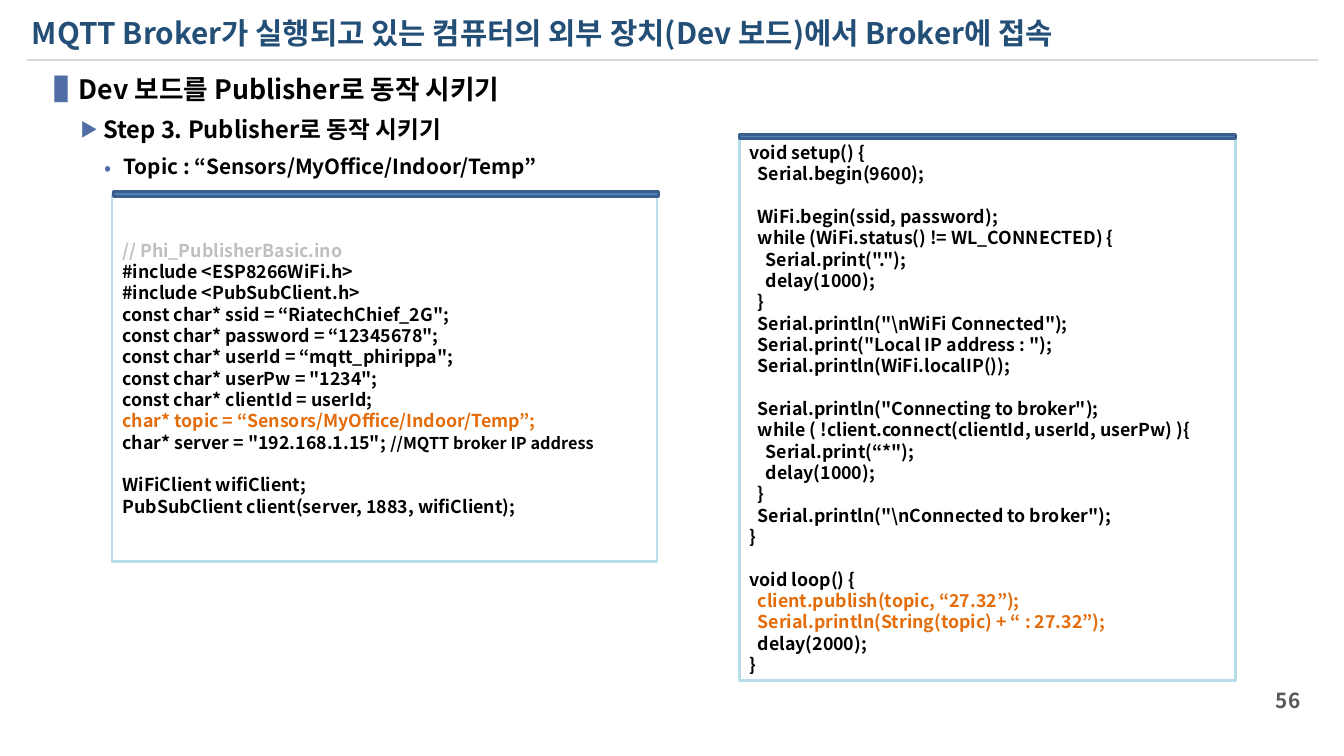
import pptx
import pptx.util
import pptx.dml.color
import pptx.enum.shapes
import pptx.enum.text
from lxml import etree
from pptx.dml.color import RGBColor
from pptx.oxml.ns import qn
from pptx.util import Inches, Pt

FONT = "Noto Sans CJK KR"
LINE_RATIO = 1.2  # line pitch relative to the text size

NAVY = RGBColor(0x23, 0x4F, 0x77)
BLACK = RGBColor(0, 0, 0)
WHITE = RGBColor(0xFF, 0xFF, 0xFF)
RULE_GRAY = RGBColor(0xD9, 0xD9, 0xD9)
NUMBER_GRAY = RGBColor(0x59, 0x59, 0x59)
COMMENT_GRAY = RGBColor(0xBF, 0xBF, 0xBF)
BULLET_BLUE = RGBColor(0x50, 0x6E, 0xA5)
ORANGE = RGBColor(0xE4, 0x6C, 0x0A)
PALE_BLUE = RGBColor(0xB7, 0xDE, 0xE8)
BAR_BLUE = RGBColor(0x4F, 0x81, 0xBD)
BAR_EDGE = RGBColor(0x3A, 0x5F, 0x8C)

# Content
TITLE = "MQTT Broker가 실행되고 있는 컴퓨터의 외부 장치(Dev 보드)에서 Broker에 접속"
PAGE_NUMBER = "56"

# text, size, bullet, bullet percent, left margin, hanging indent
OUTLINE = [
    ("Dev 보드를 Publisher로 동작 시키기", 18, "▐", 100, 0.35, 0.35),
    ("Step 3. Publisher로 동작 시키기", 16, "▶", 75, 0.58, 0.21),
    ("Topic : “Sensors/MyOffice/Indoor/Temp”", 14, "•", 100, 0.77, 0.18),
]

SETTINGS_CODE = """// Phi_PublisherBasic.ino
#include <ESP8266WiFi.h>
#include <PubSubClient.h>
const char* ssid = “RiatechChief_2G";
const char* password = “12345678";
const char* userId = “mqtt_phirippa";
const char* userPw = "1234";
const char* clientId = userId;
char* topic = “Sensors/MyOffice/Indoor/Temp”;
char* server = "192.168.1.15"; //MQTT broker IP address

WiFiClient wifiClient;
PubSubClient client(server, 1883, wifiClient);"""

SKETCH_CODE = r"""void setup() {
  Serial.begin(9600);

  WiFi.begin(ssid, password);
  while (WiFi.status() != WL_CONNECTED) {
    Serial.print(".");
    delay(1000);
  }
  Serial.println("\nWiFi Connected");
  Serial.print("Local IP address : ");
  Serial.println(WiFi.localIP());

  Serial.println("Connecting to broker");
  while ( !client.connect(clientId, userId, userPw) ){
    Serial.print(“*");
    delay(1000);
  }
  Serial.println("\nConnected to broker");
}

void loop() {
  client.publish(topic, “27.32”);
  Serial.println(String(topic) + “ : 27.32”);
  delay(2000);
}"""

# code, left, top, width, height, bar left, bar top
PANELS = [
    (SETTINGS_CODE, 1.05, 1.82, 5.11, 3.45, 1.06, 1.80),
    (SKETCH_CODE, 6.93, 1.28, 4.65, 5.10, 6.93, 1.26),
]
LINE_COLORS = [("// ", COMMENT_GRAY), ("char* topic", ORANGE),
               ("client.publish", ORANGE), ("Serial.println(String", ORANGE)]
TRAILING_COMMENT = "//MQTT"
CODE_SIZE, TRAILING_SIZE = 12, 11


def style_paragraph(paragraph, size, color, gap=0):
    paragraph.line_spacing = Pt(size * LINE_RATIO)
    paragraph.space_before = Pt(gap)
    for run in paragraph.runs:
        run.font.size = Pt(size)
        run.font.bold = True
        run.font.name = FONT
        run.font.color.rgb = color
        east_asian = etree.SubElement(run.font._element, qn("a:ea"))
        east_asian.set("typeface", FONT)


def add_bullet(paragraph, symbol, percent, margin, hanging):
    properties = paragraph._p.get_or_add_pPr()
    properties.set("marL", str(Inches(margin)))
    properties.set("indent", str(-Inches(hanging)))
    bullet_color = etree.SubElement(properties, qn("a:buClr"))
    etree.SubElement(bullet_color, qn("a:srgbClr")).set("val", str(BULLET_BLUE))
    etree.SubElement(properties, qn("a:buSzPct")).set("val", str(percent * 1000))
    etree.SubElement(properties, qn("a:buFont")).set("typeface", FONT)
    etree.SubElement(properties, qn("a:buChar")).set("char", symbol)


def add_text(left, top, width, height):
    frame = slide.shapes.add_textbox(
        Inches(left), Inches(top), Inches(width), Inches(height)).text_frame
    frame.word_wrap = True
    return frame


def add_box(left, top, width, height, fill, edge):
    box = slide.shapes.add_shape(
        pptx.enum.shapes.MSO_SHAPE.RECTANGLE,
        Inches(left), Inches(top), Inches(width), Inches(height))
    box.shadow.inherit = False
    box.fill.solid()
    box.fill.fore_color.rgb = fill
    box.line.color.rgb = edge
    box.line.width = Pt(2)
    return box


def write_code(frame, code):
    """One paragraph per code line; an empty line becomes space before the next."""
    frame.word_wrap = True
    frame.vertical_anchor = pptx.enum.text.MSO_ANCHOR.MIDDLE
    paragraph, gap = frame.paragraphs[0], 0
    for number, line in enumerate(code.split("\n")):
        if not line:
            gap = CODE_SIZE * LINE_RATIO
            continue
        if number:
            paragraph = frame.add_paragraph()
        statement, mark, remark = line.partition(TRAILING_COMMENT)
        paragraph.text = statement
        if mark:
            paragraph.add_run().text = mark + remark
        paragraph.alignment = pptx.enum.text.PP_ALIGN.LEFT
        color = next((c for start, c in LINE_COLORS
                      if line.strip().startswith(start)), BLACK)
        style_paragraph(paragraph, CODE_SIZE, color, gap)
        if mark:
            paragraph.runs[-1].font.size = Pt(TRAILING_SIZE)
        gap = 0


deck = pptx.Presentation()
deck.slide_width, deck.slide_height = Inches(12.6), Inches(7.09)
slide = deck.slides.add_slide(deck.slide_layouts[6])

# Title and rule
title_rule = slide.shapes.add_connector(
    pptx.enum.shapes.MSO_CONNECTOR.STRAIGHT,
    Inches(0.25), Inches(0.56), Inches(12.36), Inches(0.56))
title_rule.line.color.rgb = RULE_GRAY
title_rule.line.width = Pt(1.5)
etree.SubElement(title_rule._element.spPr, qn("a:effectLst"))

title = add_text(0.2, 0.09, 11.86, 0.44)
title.text = TITLE
style_paragraph(title.paragraphs[0], 20, NAVY)

# Outline
outline = add_text(0.29, 0.63, 9.55, 1.91)
for level, (text, size, symbol, percent, margin, hanging) in enumerate(OUTLINE):
    item = outline.add_paragraph() if level else outline.paragraphs[0]
    item.text = text
    add_bullet(item, symbol, percent, margin, hanging)
    style_paragraph(item, size, BLACK, 7 if level else 0)

# Page number
page = add_text(11.35, 6.38, 0.94, 0.38)
page.text = PAGE_NUMBER
page.vertical_anchor = pptx.enum.text.MSO_ANCHOR.MIDDLE
page.paragraphs[0].alignment = pptx.enum.text.PP_ALIGN.RIGHT
style_paragraph(page.paragraphs[0], 14, NUMBER_GRAY)

# Code panels, each with a bar on top
for code, left, top, width, height, bar_left, bar_top in PANELS:
    write_code(add_box(left, top, width, height, WHITE, PALE_BLUE).text_frame, code)
    add_box(bar_left, bar_top, width, 0.04, BAR_BLUE, BAR_EDGE)

deck.save("out.pptx")
